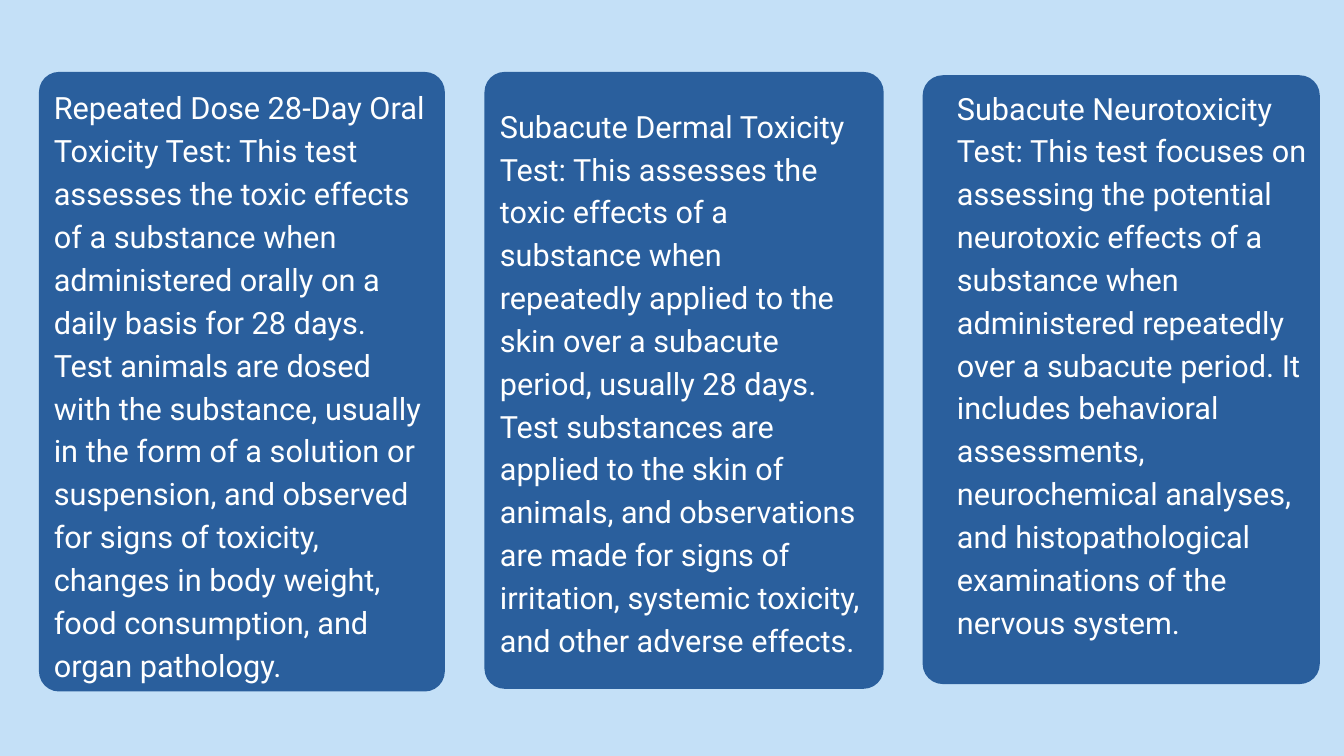
from dataclasses import dataclass

from pptx import Presentation
from pptx.dml.color import RGBColor
from pptx.enum.shapes import MSO_SHAPE
from pptx.enum.text import MSO_ANCHOR, PP_ALIGN
from pptx.util import Inches, Pt

RECTANGLE = MSO_SHAPE.RECTANGLE
ROUNDED_RECTANGLE = MSO_SHAPE.ROUNDED_RECTANGLE
TOP = MSO_ANCHOR.TOP
LEFT = PP_ALIGN.LEFT

SLIDE_WIDTH, SLIDE_HEIGHT = 20, 11.25
CORNER_RADIUS = 0.3
BLANK_LAYOUT = 6
COLORS = {"page": "C4E0F7", "card": "2A5F9D", "text": "FFFFFF"}
FONT_NAME = "Roboto"


@dataclass(frozen=True)
class Box:
    left: float
    top: float
    width: float
    height: float

    def lengths(self) -> tuple:
        return tuple(Inches(value) for value in (self.left, self.top, self.width, self.height))


@dataclass(frozen=True)
class TestCard:
    card: Box
    text_box: Box
    font_size: float
    line_spacing: float
    text: str


TEST_CARDS = [
    TestCard(
        Box(0.58, 1.07, 6.04, 9.22), Box(0.8, 1.23, 5.58, 8.9), 32.9, 46,
        "Repeated Dose 28-Day Oral Toxicity Test: This test assesses the toxic effects of a "
        "substance when administered orally on a daily basis for 28 days. Test animals are dosed "
        "with the substance, usually in the form of a solution or suspension, and observed for "
        "signs of toxicity, changes in body weight, food consumption, and organ pathology.",
    ),
    TestCard(
        Box(7.21, 1.07, 5.94, 9.18), Box(7.44, 1.51, 5.47, 8.25), 32.8, 45.9,
        "Subacute Dermal Toxicity Test: This assesses the toxic effects of a substance when "
        "repeatedly applied to the skin over a subacute period, usually 28 days. Test substances "
        "are applied to the skin of animals, and observations are made for signs of irritation, "
        "systemic toxicity, and other adverse effects.",
    ),
    TestCard(
        Box(13.73, 1.12, 5.91, 9.06), Box(14.24, 1.24, 5.39, 8.25), 32.8, 45.9,
        "Subacute Neurotoxicity Test: This test focuses on assessing the potential neurotoxic "
        "effects of a substance when administered repeatedly over a subacute period. It includes "
        "behavioral assessments, neurochemical analyses, and histopathological examinations of "
        "the nervous system.",
    ),
]


def add_panel(slide, kind: MSO_SHAPE, box: Box, color: str):
    shape = slide.shapes.add_shape(kind, *box.lengths())
    shape.shadow.inherit = False
    shape.fill.solid()
    shape.fill.fore_color.rgb = RGBColor.from_string(COLORS[color])
    shape.line.fill.background()
    return shape


def add_card_text(slide, test: TestCard) -> None:
    text_frame = slide.shapes.add_textbox(*test.text_box.lengths()).text_frame
    frame_format = {
        "word_wrap": True, "vertical_anchor": TOP,
        "margin_left": 0, "margin_top": 0, "margin_right": 0, "margin_bottom": 0,
    }
    for name, value in frame_format.items():
        setattr(text_frame, name, value)
    paragraph = text_frame.paragraphs[0]
    paragraph.alignment = LEFT
    paragraph.line_spacing = Pt(test.line_spacing)
    run = paragraph.add_run()
    run.text = test.text
    for name, value in {"name": FONT_NAME, "size": Pt(test.font_size)}.items():
        setattr(run.font, name, value)
    run.font.color.rgb = RGBColor.from_string(COLORS["text"])


def add_test_card(slide, test: TestCard) -> None:
    card = add_panel(slide, ROUNDED_RECTANGLE, test.card, "card")
    card.adjustments[0] = CORNER_RADIUS / min(test.card.width, test.card.height)
    add_card_text(slide, test)


def main() -> None:
    presentation = Presentation()
    presentation.slide_width = Inches(SLIDE_WIDTH)
    presentation.slide_height = Inches(SLIDE_HEIGHT)
    slide = presentation.slides.add_slide(presentation.slide_layouts[BLANK_LAYOUT])
    slide.background.fill.solid()
    slide.background.fill.fore_color.rgb = RGBColor.from_string(COLORS["card"])
    add_panel(slide, RECTANGLE, Box(0, 0, SLIDE_WIDTH, SLIDE_HEIGHT), "page")
    for test in TEST_CARDS:
        add_test_card(slide, test)
    presentation.save("out.pptx")


if __name__ == "__main__":
    main()
